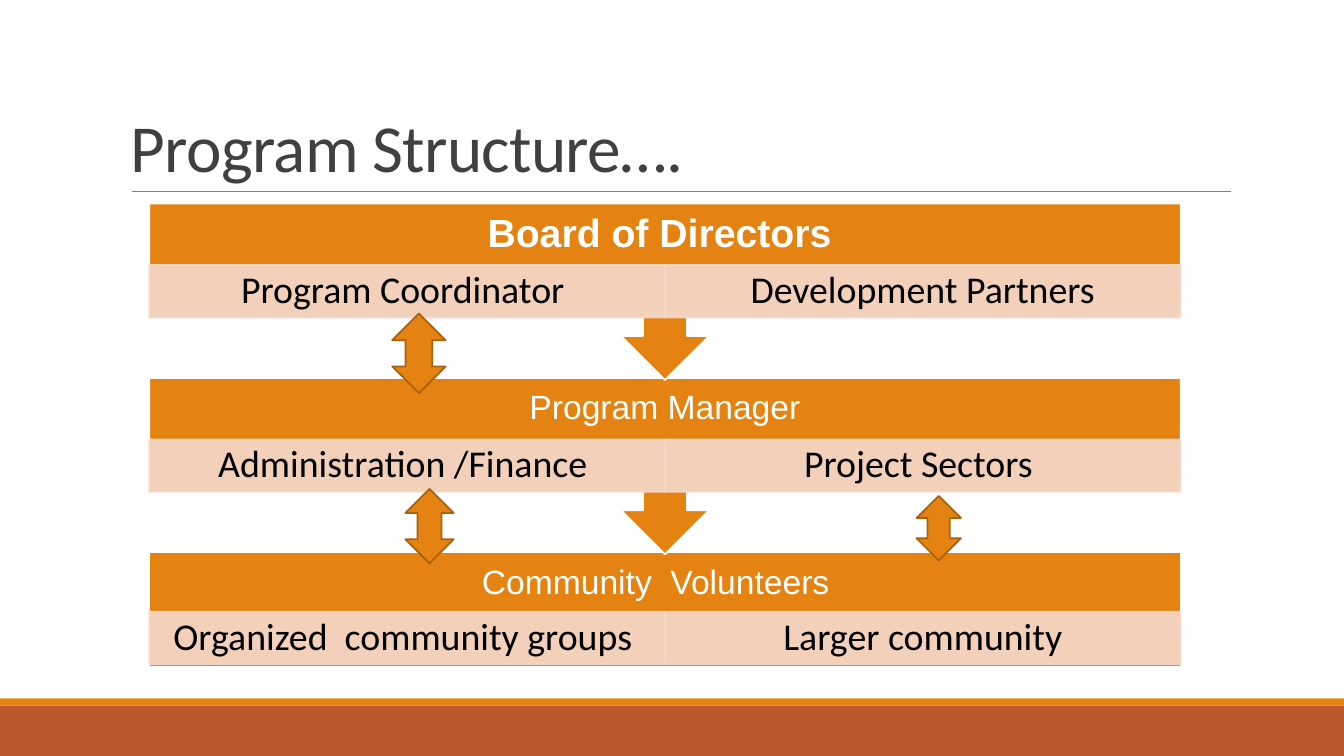
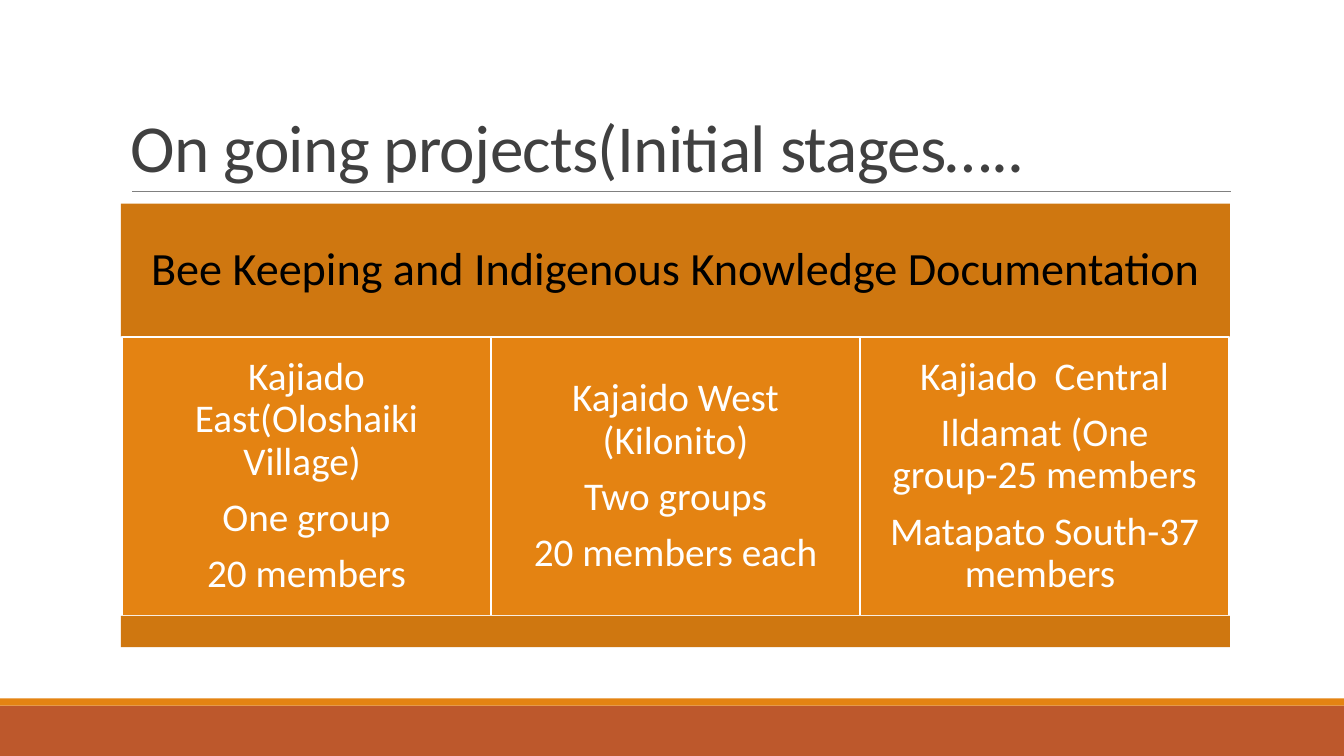
from lxml import etree
from pptx import Presentation
from pptx.dml.color import RGBColor
from pptx.enum import shapes, text
from pptx.oxml.ns import qn
from pptx.util import Inches, Pt

ORANGE, DARK_ORANGE, RUST = "E48312", "CF7710", "BD582C"
PEACH, BROWN = "F5D9CC", "A9610D"
WHITE, BLACK, GREY, CHARCOAL = "FFFFFF", "000000", "808080", "404040"
SHAPE = shapes.MSO_SHAPE
CENTER = text.PP_ALIGN.CENTER
MIDDLE, BOTTOM = text.MSO_ANCHOR.MIDDLE, text.MSO_ANCHOR.BOTTOM


def rgb(color):
    return RGBColor.from_string(color)


class Deck:
    """Holds the shared style and the slide being built."""

    width, height = 13.33, 7.5
    font = "Calibri"

    def __init__(self):
        self.prs = Presentation()
        self.prs.slide_width = Inches(self.width)
        self.prs.slide_height = Inches(self.height)
        self.slide = None

    def add_slide(self, title):
        """Start a slide with the bottom bands, the rule and the title."""
        self.slide = self.prs.slides.add_slide(self.prs.slide_layouts[6])
        self.shape((0, 7, self.width, 0.5), RUST)
        self.shape((0, 6.93, self.width, 0.07), ORANGE)
        self.line(1.31, 1.9, 12.21, 1.9, GREY, 0.5)
        tf = self.label((1.2, 0.31, 11, 1.59), [title], 48, CHARCOAL,
                        align=None, anchor=BOTTOM, spacing=0.85, inset=(0.1, 0.05))
        tf.paragraphs[0].runs[0].font._element.set("spc", "-50")

    def shape(self, box, fill, line=None, kind=SHAPE.RECTANGLE, opacity=100):
        sp = self.slide.shapes.add_shape(kind, *map(Inches, box))
        sp.shadow.inherit = False
        sp.fill.solid()
        sp.fill.fore_color.rgb = rgb(fill)
        if line:
            sp.line.color.rgb = rgb(line)
            sp.line.width = Pt(1.25)
        else:
            sp.line.fill.background()
        if opacity < 100:
            for color in sp._element.spPr.iter(qn("a:srgbClr")):
                etree.SubElement(color, qn("a:alpha")).set("val", str(opacity * 1000))
        return sp

    def line(self, x1, y1, x2, y2, color, width):
        cn = self.slide.shapes.add_connector(
            shapes.MSO_CONNECTOR.STRAIGHT, *map(Inches, (x1, y1, x2, y2)))
        cn.line.color.rgb = rgb(color)
        cn.line.width = Pt(width)
        etree.SubElement(cn._element.spPr, qn("a:effectLst"))

    def label(self, box, lines, size, color, **style):
        sp = self.slide.shapes.add_textbox(*map(Inches, box))
        self.set_text(sp, lines, size, color, **style)
        return sp.text_frame

    def set_text(self, sp, lines, size, color, font=None, bold=False, align=CENTER,
                 anchor=MIDDLE, spacing=0.9, inset=(0.12, 0.04)):
        tf = sp.text_frame
        tf.word_wrap = True
        tf.vertical_anchor = anchor
        tf.margin_left = tf.margin_right = Inches(inset[0])
        tf.margin_top = tf.margin_bottom = Inches(inset[1])
        for i, words in enumerate(lines):
            p = tf.paragraphs[0] if i == 0 else tf.add_paragraph()
            p.alignment = align
            p.line_spacing = spacing
            if i < len(lines) - 1:
                p.space_after = Pt(0.35 * size)
            r = p.add_run()
            r.text = words
            r.font.name = font or self.font
            r.font.size = Pt(size)
            r.font.bold = bold
            r.font.color.rgb = rgb(color)

    def tier(self, top, head, units, size, bold, last):
        """A full-width heading over two units, pointing down unless last."""
        left, width, head_height = 1.48, 10.23, 0.59 if last else 0.61
        if last:
            self.shape((left, top, width, 1.14), ORANGE, WHITE)
        else:
            sp = self.shape((left, top, width, 1.75), ORANGE, WHITE,
                            SHAPE.UP_ARROW_CALLOUT)
            sp.rotation = 180
        self.label((left, top, width, 0.61), [head], size, WHITE,
                   font="Arial", bold=bold)
        unit_width = width / len(units)
        for i, unit in enumerate(units):
            sp = self.shape((left + i * unit_width, top + head_height, unit_width, 0.52),
                            PEACH, PEACH, opacity=90)
            self.set_text(sp, [unit], 27, BLACK, inset=(0.21, 0.04))


def program_structure(deck):
    deck.add_slide("Program Structure….")
    tiers = [
        ("Board of Directors ", ["Program Coordinator ", "Development Partners"], 28, True),
        ("Program Manager", ["Administration /Finance ", "Project Sectors "], 24, False),
        ("Community  Volunteers  ",
         ["Organized  community groups ", "Larger community"], 24, False),
    ]
    bottom = len(tiers) - 1
    for i in range(bottom, -1, -1):
        deck.tier(2.02 + 1.73 * i, *tiers[i], last=i == bottom)
    for box in [(3.89, 3.11, 0.53, 0.79), (4.02, 4.85, 0.48, 0.74),
                (9.09, 4.92, 0.44, 0.64)]:
        deck.shape(box, ORANGE, BROWN, SHAPE.UP_DOWN_ARROW)


def ongoing_projects(deck):
    deck.add_slide("On going projects(Initial stages…..")
    header = deck.shape((1.2, 2.02, 11, 1.32), DARK_ORANGE)
    deck.set_text(header, ["Bee Keeping and Indigenous Knowledge Documentation"], 33, BLACK)
    areas = [
        ["Kajiado East(Oloshaiki Village) ", "One group", "20 members"],
        ["Kajaido West (Kilonito)", "Two groups", "20 members each"],
        ["Kajiado  Central", "Ildamat (One group-25 members",
         "Matapato South-37 members "],
    ]
    for i, lines in enumerate(areas):
        area = deck.shape((1.21 + 3.66 * i, 3.34, 3.66, 2.77), ORANGE, WHITE)
        deck.set_text(area, lines, 28, WHITE, inset=(0.12, 0.12))
    deck.shape((1.2, 6.11, 11, 0.31), DARK_ORANGE)


def main():
    deck = Deck()
    program_structure(deck)
    ongoing_projects(deck)
    deck.prs.save("out.pptx")


if __name__ == "__main__":
    main()
